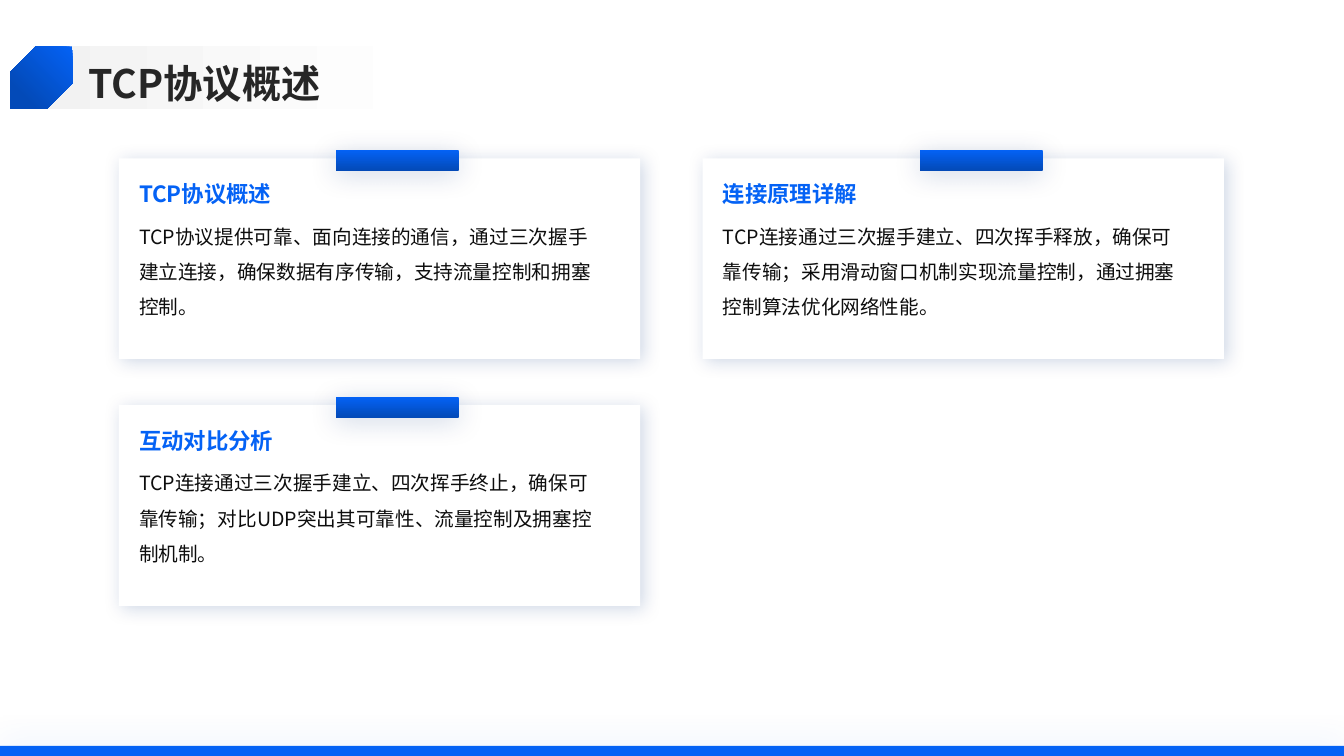
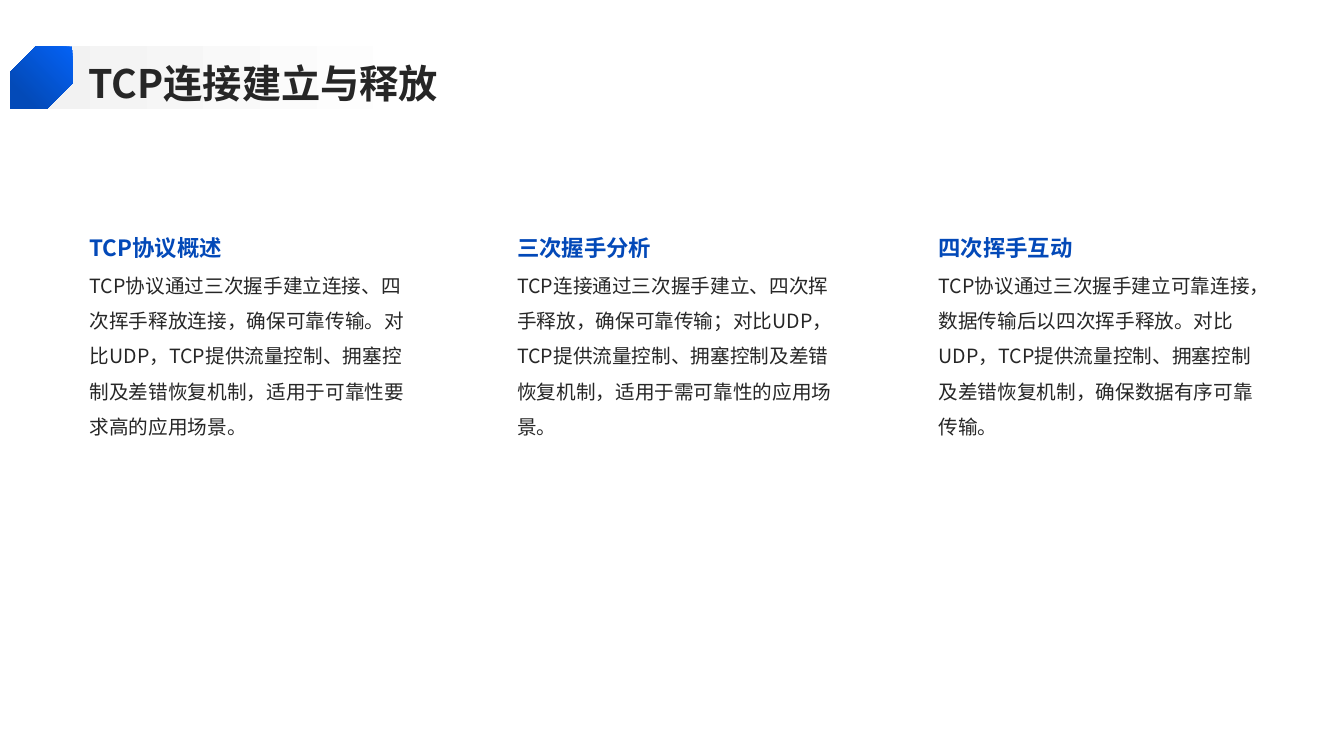
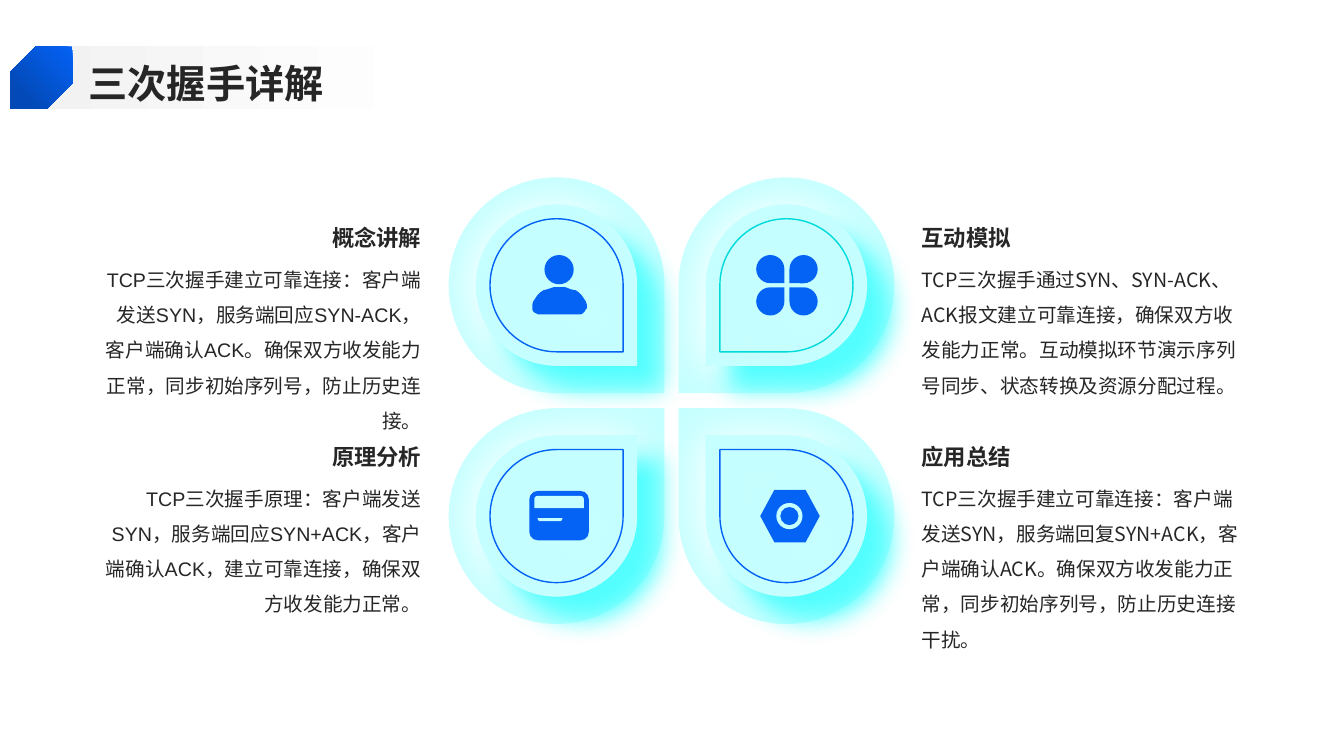
from lxml.etree import SubElement
from pptx import Presentation
from pptx.dml.color import RGBColor
from pptx.enum.shapes import MSO_SHAPE as Preset
from pptx.enum.text import MSO_ANCHOR as Anchor, MSO_AUTO_SIZE as AutoSize, PP_ALIGN as Align
from pptx.oxml.ns import qn
from pptx.util import Pt

PX = 9144
FONT = "Noto Sans CJK SC"
BLUE, DEEP_BLUE, HEADING_BLUE = "0462F5", "034AB8", "0349B8"
WHITE, GREY, INK, BLACK = "FFFFFF", "F2F2F2", "262626", "0D0D0D"
AQUA, CYAN, TEAL, NAVY = "C5FFFF", "50FFFF", "00DADA", "02317B"

CARDS = [
    (0, 0, "TCP协议概述",
     "TCP协议提供可靠、面向连接的通信，通过三次握手建立连接，确保数据有序传输，支持流量控制和拥塞控制。"),
    (0, 1, "互动对比分析",
     "TCP连接通过三次握手建立、四次挥手终止，确保可靠传输；对比UDP突出其可靠性、流量控制及拥塞控制机制。"),
    (1, 0, "连接原理详解",
     "TCP连接通过三次握手建立、四次挥手释放，确保可靠传输；采用滑动窗口机制实现流量控制，通过拥塞控制算法优化网络性能。"),
]
COLUMNS = [
    (89, "TCP协议概述",
     "TCP协议通过三次握手建立连接、四次挥手释放连接，确保可靠传输。对比UDP，TCP提供流量控制、拥塞控制及差错恢复机制，适用于可靠性要求高的应用场景。"),
    (513, "三次握手分析",
     "TCP连接通过三次握手建立、四次挥手释放，确保可靠传输；对比UDP，TCP提供流量控制、拥塞控制及差错恢复机制，适用于需可靠性的应用场景。"),
    (931, "四次挥手互动",
     "TCP协议通过三次握手建立可靠连接，数据传输后以四次挥手释放。对比UDP，TCP提供流量控制、拥塞控制及差错恢复机制，确保数据有序可靠传输。"),
]
PETALS = [
    (0, 0, 90, BLUE, "概念讲解",
     "TCP三次握手建立可靠连接：客户端发送SYN，服务端回应SYN-ACK，客户端确认ACK。确保双方收发能力正常，同步初始序列号，防止历史连接。"),
    (1, 0, 180, TEAL, "互动模拟",
     "TCP三次握手通过SYN、SYN-ACK、ACK报文建立可靠连接，确保双方收发能力正常。互动模拟环节演示序列号同步、状态转换及资源分配过程。"),
    (0, 1, 0, BLUE, "原理分析",
     "TCP三次握手原理：客户端发送SYN，服务端回应SYN+ACK，客户端确认ACK，建立可靠连接，确保双方收发能力正常。"),
    (1, 1, 270, BLUE, "应用总结",
     "TCP三次握手建立可靠连接：客户端发送SYN，服务端回复SYN+ACK，客户端确认ACK。确保双方收发能力正常，同步初始序列号，防止历史连接干扰。"),
]


def color(value):
    """Turn a hex string into a colour."""
    return RGBColor.from_string(value)


def emu(*lengths):
    """Turn px lengths into EMU."""
    return [length * PX for length in lengths]


def add_shadow(shape, value, alpha, blur, distance, angle):
    """Give a shape an outer shadow, with blur and distance in points."""
    effects = shape._element.spPr.find(qn("a:effectLst"))
    outer = SubElement(effects, qn("a:outerShdw"), blurRad=str(Pt(blur)), dist=str(Pt(distance)),
                       dir=str(angle * 60000), algn="ctr", rotWithShape="0")
    tint = SubElement(outer, qn("a:srgbClr"), val=value)
    SubElement(tint, qn("a:alpha"), val=str(alpha * 1000))


def paint(shape, fill=None, line=None, shadow=None):
    """Set the fill, line and shadow of a shape."""
    shape.shadow.inherit = False
    if fill:
        shape.fill.solid()
        shape.fill.fore_color.rgb = color(fill)
    else:
        shape.fill.background()
    if line:
        shape.line.color.rgb = color(line)
        shape.line.width = Pt(1)
    else:
        shape.line.fill.background()
    if shadow:
        add_shadow(shape, *shadow)


def add_preset(slide, preset, box, fill=None, line=None, shadow=None, rotation=0, adjust=()):
    """Add a painted preset shape."""
    shape = slide.shapes.add_shape(preset, *emu(*box))
    for index, value in enumerate(adjust):
        shape.adjustments[index] = value
    shape.rotation = rotation
    paint(shape, fill, line, shadow)
    return shape


def set_gradient(shape, start, end, end_position, angle):
    """Fill a shape with a two-colour gradient at a clockwise angle."""
    shape.fill.gradient()
    shape.fill.gradient_angle = (360 - angle) % 360
    for stop, value, position in zip(shape.fill.gradient_stops, (start, end), (0, end_position)):
        stop.color.rgb = color(value)
        stop.position = position


def write(shape, text, size, ink, bold=False, spacing=1.0, align=Align.LEFT,
          anchor=Anchor.TOP, latin=FONT):
    """Write one formatted paragraph into a shape without insets."""
    frame = shape.text_frame
    frame.word_wrap = True
    frame.auto_size = AutoSize.NONE
    frame.vertical_anchor = anchor
    frame.margin_left = frame.margin_top = frame.margin_right = frame.margin_bottom = 0
    paragraph = frame.paragraphs[0]
    paragraph.alignment = align
    paragraph.line_spacing = spacing
    run = paragraph.add_run()
    run.text = text
    run.font.size = Pt(size)
    run.font.bold = bold
    run.font.color.rgb = color(ink)
    run.font.name = latin
    properties = run._r.get_or_add_rPr()
    properties.set("lang", "zh-CN")
    SubElement(properties, qn("a:ea"), typeface=FONT)


def add_text(slide, box, text, size, ink, **style):
    """Add a text box."""
    write(slide.shapes.add_textbox(*emu(*box)), text, size, ink, **style)


def add_titled_slide(presentation, text):
    """Add a slide with the shared title, its band and its badge."""
    slide = presentation.slides.add_slide(presentation.slide_layouts[5])
    band = add_preset(slide, Preset.RECTANGLE, (33, 46, 492, 62), GREY)
    set_gradient(band, GREY, WHITE, 0.8, 0)
    badge = add_preset(slide, Preset.SNIP_2_DIAG_RECTANGLE, (10, 46, 62, 62), BLUE, adjust=(0.41, 0))
    set_gradient(badge, BLUE, DEEP_BLUE, 0.8, 135)
    title = slide.shapes.title
    title.left, title.top, title.width, title.height = emu(88, 54, 1188, 51)
    write(title, text, 28, INK, bold=True, spacing=1.1, anchor=Anchor.MIDDLE)
    badge._element.addnext(title._element)
    return slide


def add_card(slide, column, row, heading, body):
    """Add a white card with a blue tab, at a place in the grid."""
    left, top = 118 + 579 * column, 157 + 245 * row
    add_preset(slide, Preset.RECTANGLE, (left, top, 517, 199), WHITE, shadow=(NAVY, 19, 13, 3, 45))
    tab = add_preset(slide, Preset.RECTANGLE, (left + 215, top - 8, 122, 20), BLUE,
                     shadow=(NAVY, 19, 20, 3, 90))
    set_gradient(tab, BLUE, DEEP_BLUE, 1, 90)
    add_text(slide, (left + 20, top + 22, 456, 36), heading, 16, BLUE, bold=True)
    add_text(slide, (left + 20, top + 54, 456, 132), body, 14, BLACK, spacing=1.5)


def add_column(slide, left, heading, body):
    """Add a heading with its text below."""
    add_text(slide, (left, 225, 326, 39), heading, 16, HEADING_BLUE, bold=True, spacing=1.1,
             anchor=Anchor.MIDDLE)
    add_text(slide, (left, 260, 326, 375), body, 14, INK, spacing=1.5)


def add_petal(slide, column, row, rotation, outline, heading, body):
    """Add a layered teardrop and the text at its side."""
    left, top = 445 + 228 * column, 176 + 229 * row
    layers = [
        (0, AQUA, None, None),
        (27, AQUA, None, (WHITE, 100, 32, 3, 180)),
        (27, AQUA, None, (CYAN, 100, 18, 24, 45)),
        (41, None, outline, (WHITE, 100, 34, 24, 45)),
    ]
    for inset, fill, line, shadow in layers:
        size = 214 - 2 * inset
        add_preset(slide, Preset.TEAR, (left + inset, top + inset, size, size), fill, line, shadow,
                   rotation)
    text_left, text_top = (102, 914)[column], 218 + 217 * row
    align = (Align.RIGHT, Align.LEFT)[column]
    add_text(slide, (text_left, text_top, 316, 31), heading, 16, INK, bold=True, spacing=1.5,
             align=align, anchor=Anchor.BOTTOM)
    add_text(slide, (text_left, text_top + 36, 316, 154), body, 14, INK, spacing=1.5, align=align,
             latin=("Arial", FONT)[column])


def curve_points(start, first, second, end, steps=8):
    """List the points along a cubic curve, without its start."""
    points = []
    for step in range(1, steps + 1):
        t = step / steps
        weights = ((1 - t) ** 3, 3 * t * (1 - t) ** 2, 3 * t * t * (1 - t), t ** 3)
        points.append(tuple(sum(weight * point[axis] for weight, point in
                                zip(weights, (start, first, second, end))) for axis in (0, 1)))
    return points


def add_person_icon(slide):
    """Draw a head above rounded shoulders."""
    add_preset(slide, Preset.OVAL, (540, 253, 29, 29), BLUE)
    curves = [
        ((555, 285), (573, 285), (579, 294), (582, 302)),
        ((582, 302), (583, 307), (579, 312), (574, 312)),
        ((536, 312), (530, 312), (526, 307), (528, 302)),
        ((528, 302), (530, 294), (537, 285), (555, 285)),
    ]
    builder = slide.shapes.build_freeform(*curves[0][0], scale=PX)
    for curve in curves:
        builder.add_line_segments([curve[0]] + curve_points(*curve), close=False)
    builder.add_line_segments([], close=True)
    paint(builder.convert_to_shape(), BLUE)


def add_clover_icon(slide):
    """Draw four leaves that point to their centre."""
    for column, row, rotation, *_ in PETALS:
        add_preset(slide, Preset.TEAR, (750 + 33 * column, 253 + 32 * row, 28, 28), BLUE,
                   rotation=rotation)


def add_card_icon(slide):
    """Draw a payment card."""
    add_preset(slide, Preset.ROUNDED_RECTANGLE, (525, 487, 59, 49), BLUE, adjust=(0.17,))
    add_preset(slide, Preset.ROUND_2_SAME_RECTANGLE, (530, 492, 49, 12), AQUA, adjust=(0.25, 0))
    add_preset(slide, Preset.TRAPEZOID, (533, 514, 25, 3), AQUA, rotation=180, adjust=(0.5,))


def add_nut_icon(slide):
    """Draw a hexagonal nut."""
    add_preset(slide, Preset.HEXAGON, (754, 486, 59, 52), BLUE, adjust=(0.27,))
    add_preset(slide, Preset.DONUT, (770, 499, 26, 26), AQUA, adjust=(0.15,))


def main():
    """Build the three slides."""
    presentation = Presentation()
    presentation.slide_width, presentation.slide_height = emu(1333, 750)

    overview = add_titled_slide(presentation, "TCP协议概述")
    add_preset(overview, Preset.RECTANGLE, (0, 740, 1333, 10), BLUE, shadow=(BLUE, 20, 25, 0, 0))
    for card in CARDS:
        add_card(overview, *card)

    connection = add_titled_slide(presentation, "TCP连接建立与释放")
    for column in COLUMNS:
        add_column(connection, *column)

    handshake = add_titled_slide(presentation, "三次握手详解")
    for petal in PETALS:
        add_petal(handshake, *petal)
    for add_icon in (add_person_icon, add_clover_icon, add_card_icon, add_nut_icon):
        add_icon(handshake)

    presentation.save("out.pptx")


if __name__ == "__main__":
    main()
